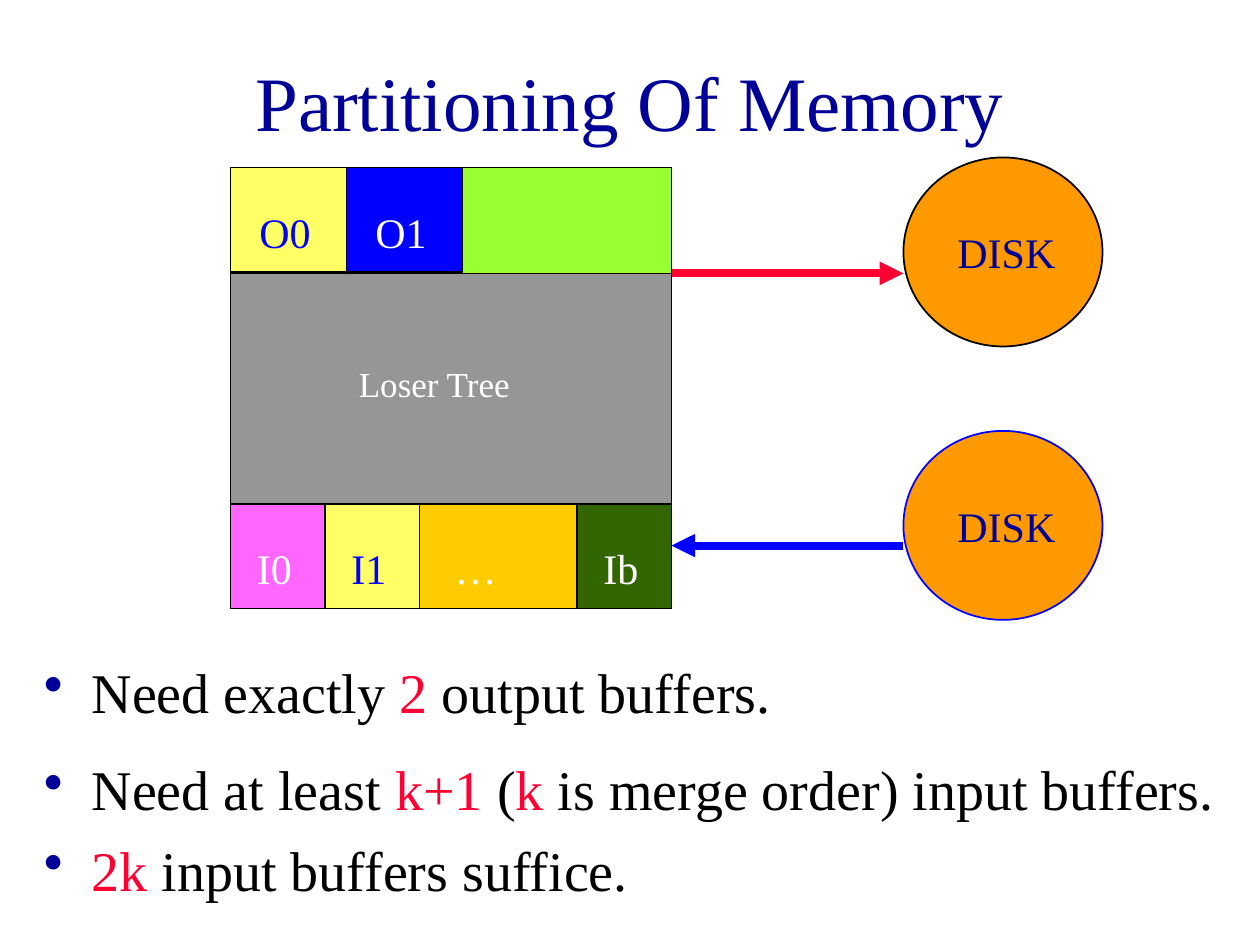
import pptx
import pptx.dml.color
import pptx.enum.shapes
import pptx.enum.text
import pptx.oxml.ns
import pptx.util
from lxml import etree

Inches = pptx.util.Inches
Pt = pptx.util.Pt
qn = pptx.oxml.ns.qn
MSO_SHAPE = pptx.enum.shapes.MSO_SHAPE

FONT = "Times New Roman"
COLORS = {
    "navy": "000099", "blue": "0000FF", "red": "FF0033", "black": "000000",
    "white": "FFFFFF", "lime": "99FF33", "orange": "FF9900", "yellow": "FFFF66",
    "pink": "FF66FF", "gold": "FFCC00", "green": "336600", "gray": "969696",
}
MEMORY_LEFT, MEMORY_RIGHT = 1.83, 5.33
MEMORY_TOP, TREE_TOP, INPUT_TOP = 1.33, 2.17, 4
MEMORY_SIDE = 3.5
BUFFER_HEIGHT = 0.83
DISK_LEFT = 7.17


def rgb(name):
    return pptx.dml.color.RGBColor.from_string(COLORS[name])


def add_block(slide, kind, x, y, w, h, fill, line="black"):
    sp = slide.shapes.add_shape(kind, Inches(x), Inches(y), Inches(w), Inches(h))
    sp.shadow.inherit = False
    sp.fill.solid()
    sp.fill.fore_color.rgb = rgb(fill)
    sp.line.color.rgb = rgb(line)
    sp.line.width = Pt(1)


def add_text(slide, x, y, w, h, runs, size):
    sp = slide.shapes.add_textbox(Inches(x), Inches(y), Inches(w), Inches(h))
    tf = sp.text_frame
    tf.word_wrap = True
    p = tf.paragraphs[0]
    for text, color in runs:
        r = p.add_run()
        r.text = text
        r.font.color.rgb = rgb(color)
    p.font.name = FONT
    p.font.size = Pt(size)
    return tf


def add_title(slide, text):
    tf = add_text(slide, 0.75, 0.17, 8.5, 1.25, [(text, "navy")], 44)
    tf.vertical_anchor = pptx.enum.text.MSO_ANCHOR.MIDDLE
    tf.paragraphs[0].alignment = pptx.enum.text.PP_ALIGN.CENTER


def add_bullet(slide, y, h, runs, spacing=None):
    p = add_text(slide, 0.25, y, 9.5, h, runs, 32).paragraphs[0]
    if spacing:
        p.line_spacing = spacing
    pPr = p._p.get_or_add_pPr()
    pPr.set("marL", str(Inches(0.38)))
    pPr.set("indent", str(Inches(-0.38)))
    color = etree.Element(qn("a:buClr"))
    etree.SubElement(color, qn("a:srgbClr"), val=COLORS["navy"])
    char = etree.Element(qn("a:buChar"), char="•")
    defaults = pPr.find(qn("a:defRPr"))
    defaults.addprevious(color)
    defaults.addprevious(char)


def add_buffers(slide, y, buffers):
    x = MEMORY_LEFT
    for label, w, fill, color in buffers:
        add_block(slide, MSO_SHAPE.RECTANGLE, x, y, w, BUFFER_HEIGHT, fill)
        inset = round(w / 7, 2)
        add_text(slide, x + inset, y + 0.26, w - inset, 0.5, [(label, color)], 24)
        x += w


def add_disk(slide, y, line):
    add_block(slide, MSO_SHAPE.OVAL, DISK_LEFT, y, 1.58, 1.5, "orange", line)
    add_text(slide, 7.5, y + 0.5, 1.33, 0.5, [("DISK", "navy")], 24)


def add_arrow(slide, x1, x2, y, color):
    cx = slide.shapes.add_connector(
        pptx.enum.shapes.MSO_CONNECTOR.STRAIGHT,
        Inches(x1), Inches(y), Inches(x2), Inches(y))
    cx.line.color.rgb = rgb(color)
    cx.line.width = Pt(4.5)
    etree.SubElement(cx.line._get_or_add_ln(), qn("a:tailEnd"), type="triangle")
    etree.SubElement(cx._element.spPr, qn("a:effectLst"))


def main():
    prs = pptx.Presentation()
    prs.slide_width, prs.slide_height = Inches(10), Inches(7.5)
    slide = prs.slides.add_slide(prs.slide_layouts[6])

    add_block(slide, MSO_SHAPE.RECTANGLE, MEMORY_LEFT, MEMORY_TOP,
              MEMORY_SIDE, MEMORY_SIDE, "lime")
    add_disk(slide, 3.42, "blue")
    add_arrow(slide, DISK_LEFT, MEMORY_RIGHT, 4.33, "blue")
    add_disk(slide, 1.25, "black")
    add_arrow(slide, MEMORY_RIGHT, DISK_LEFT, TREE_TOP, "red")
    add_title(slide, "Partitioning Of Memory")

    add_buffers(slide, MEMORY_TOP, [
        ("O0", 0.92, "yellow", "blue"),
        ("O1", 0.92, "blue", "white"),
    ])
    add_block(slide, MSO_SHAPE.RECTANGLE, MEMORY_LEFT, TREE_TOP,
              MEMORY_SIDE, INPUT_TOP - TREE_TOP, "gray")
    add_text(slide, 2.75, 2.83, 1.83, 0.43, [("Loser Tree", "white")], 20)
    add_buffers(slide, INPUT_TOP, [
        ("I0", 0.75, "pink", "white"),
        ("I1", 0.75, "yellow", "blue"),
        ("…", 1.25, "gold", "white"),
        ("Ib", 0.75, "green", "white"),
    ])

    add_bullet(slide, 5.17, 0.67, [
        ("Need exactly ", "black"), ("2", "red"), (" output buffers.", "black")])
    add_bullet(slide, 6, 0.58, [
        ("Need at least ", "black"), ("k+1", "red"), (" (", "black"),
        ("k", "red"), (" is merge order) input buffers.", "black")], 0.9)
    add_bullet(slide, 6.58, 0.75, [
        ("2k", "red"), (" input buffers suffice.", "black")])

    prs.save("out.pptx")


if __name__ == "__main__":
    main()
